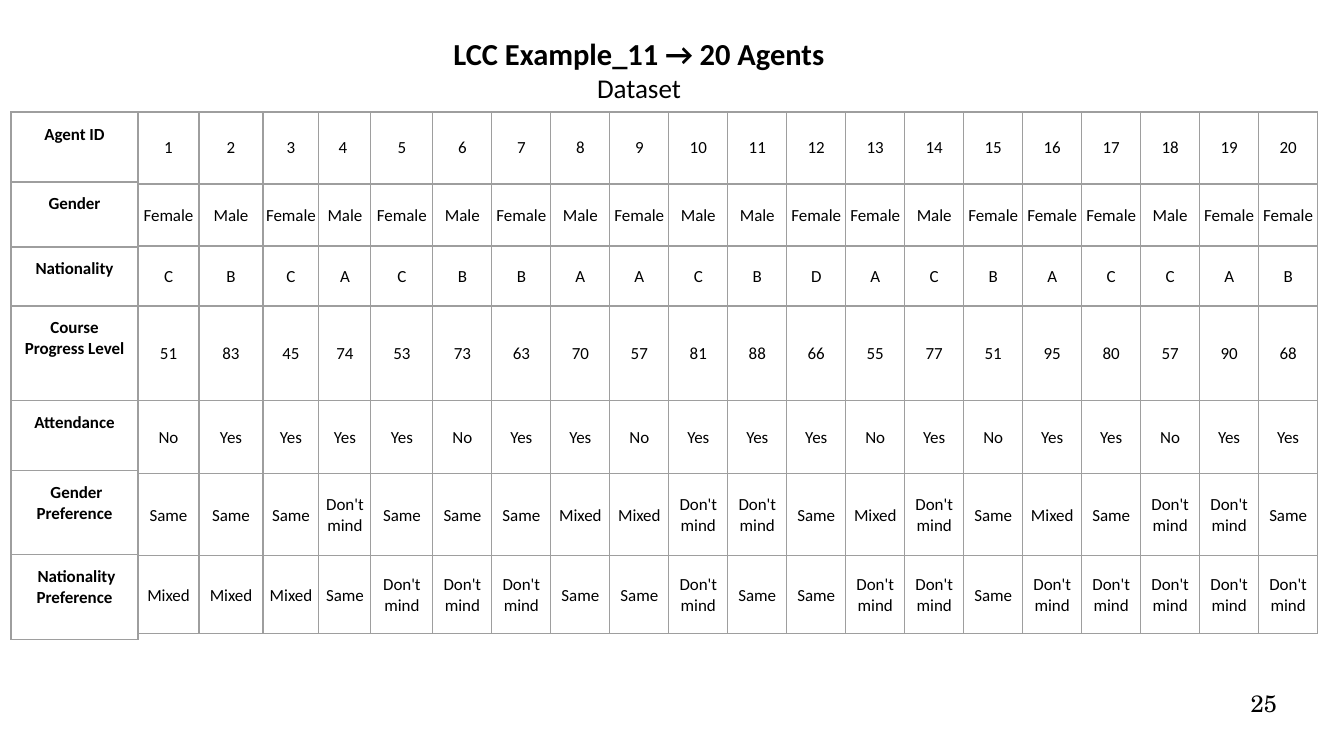
from lxml.etree import SubElement
from pptx import Presentation
from pptx.dml.color import RGBColor
from pptx.enum.text import MSO_ANCHOR, MSO_AUTO_SIZE, PP_ALIGN
from pptx.oxml.ns import qn
from pptx.util import Emu, Pt

PIXEL = 914400 / 122
BLACK = "000000"
GRID = "9E9E9E"
BODY_FONT = "Calibri"
NUMBER_FONT = "TeX Gyre Schola"

LABELS = ["Agent ID", "Gender", "Nationality", "Course Progress Level",
          "Attendance", "\u00a0Gender Preference", "\u00a0Nationality Preference"]
LABEL_HEIGHTS = [70, 65, 59, 95, 70, 84, 85]
AGENT_WIDTHS = [61, 64, 56, 52, 62] + [59] * 15
AGENT_HEIGHTS = [72, 62, 60, 95, 73, 82, 78]
WORDS = {"F": "Female", "M": "Male", "Y": "Yes", "N": "No"}
PREFERENCES = {"S": "Same", "M": "Mixed", "D": "Don't mind"}

AGENT_IDS = [str(number) for number in range(1, 21)]
AGENT_IDS[3] += "\u00a0"
AGENT_ROWS = [
    AGENT_IDS,
    [WORDS[code] for code in "FMFMFMFMFMMFFMFFFMFF"],
    list("CBCACBBAACBDACBACCAB"),
    "51 83 45 74 53 73 63 70 57 81 88 66 55 77 51 95 80 57 90 68".split(),
    [WORDS[code] for code in "NYYYYNYYNYYYNYNYYNYY"],
    [PREFERENCES[code] for code in "SSSDSSSMMDDSMDSMSDDS"],
    [PREFERENCES[code] for code in "MMMSDDDSSDSSDDSDDDDD"],
]


def px(length):
    """Turn picture pixels into EMU."""
    return Emu(round(length * PIXEL))


def color(value):
    """Turn a hex string into a colour."""
    return RGBColor.from_string(value)


def add_run(paragraph, text, size, font=BODY_FONT, bold=False, align=PP_ALIGN.CENTER):
    """Add one formatted run to an aligned paragraph."""
    paragraph.alignment = align
    run = paragraph.add_run()
    run.text = text
    run.font.size = Pt(size)
    run.font.name = font
    run.font.bold = bold
    run.font.color.rgb = color(BLACK)


def place(shape, box):
    """Move a shape into a pixel box."""
    shape.left, shape.top, shape.width, shape.height = map(px, box)


def set_margins(target, left, top, right, bottom):
    """Set the inner margins of a cell or text frame in pixels."""
    target.margin_left, target.margin_top = px(left), px(top)
    target.margin_right, target.margin_bottom = px(right), px(bottom)


def outline_cell(cell):
    """Give a cell four thin borders and no fill."""
    properties = cell._tc.get_or_add_tcPr()
    for side in ("a:lnL", "a:lnR", "a:lnT", "a:lnB"):
        line = SubElement(properties, qn(side), w=str(Pt(0.75)))
        fill = SubElement(line, qn("a:solidFill"))
        SubElement(fill, qn("a:srgbClr"), val=GRID)
    cell.fill.background()


def add_grid(slide, left, top, widths, heights, rows, margins, anchor, bold=False):
    """Add a bordered table with one margin set for each row."""
    frame = slide.shapes.add_table(len(rows), len(widths), px(left), px(top),
                                   px(sum(widths)), px(sum(heights)))
    table = frame.table
    table.first_row = table.horz_banding = False
    for column, width in zip(table.columns, widths):
        column.width = px(width)
    for index, (values, height) in enumerate(zip(rows, heights)):
        table.rows[index].height = px(height)
        for cell, text in zip(table.rows[index].cells, values):
            set_margins(cell, *margins[index])
            cell.vertical_anchor = anchor
            outline_cell(cell)
            add_run(cell.text_frame.paragraphs[0], text, 10, bold=bold)


def add_title(slide, box):
    """Fill the title placeholder with heading and subheading."""
    title = slide.shapes.title
    place(title, box)
    frame = title.text_frame
    frame.auto_size = MSO_AUTO_SIZE.NONE
    frame.vertical_anchor = MSO_ANCHOR.TOP
    set_margins(frame, 12, 6, 12, 6)
    add_run(frame.paragraphs[0], "LCC Example_11 \u2192 20 Agents", 18, bold=True)
    add_run(frame.add_paragraph(), "Dataset", 16)


def add_page_number(slide, box):
    """Add the page number, aligned right."""
    frame = slide.shapes.add_textbox(*map(px, box)).text_frame
    frame.word_wrap = True
    set_margins(frame, 0, 0, 0, 0)
    add_run(frame.paragraphs[0], "25", 14, NUMBER_FONT, align=PP_ALIGN.RIGHT)


def add_dataset(slide, left, top, label_width):
    """Place the agent table beside its column of labels."""
    wide, narrow = (12, 12, 12, 12), (1, 1, 1, 0)
    add_grid(slide, left + label_width, top, AGENT_WIDTHS, AGENT_HEIGHTS, AGENT_ROWS,
             [wide] + [narrow] * 6, MSO_ANCHOR.MIDDLE)
    add_grid(slide, left, top, [label_width], LABEL_HEIGHTS,
             [[label] for label in LABELS], [wide] * 7, MSO_ANCHOR.TOP, bold=True)


def build():
    """Build and save the dataset slide."""
    presentation = Presentation()
    presentation.slide_width, presentation.slide_height = px(1344), px(756)
    slide = presentation.slides.add_slide(presentation.slide_layouts[5])
    add_page_number(slide, (964, 689, 313, 52))
    add_title(slide, (34, 29, 1210, 83))
    add_dataset(slide, 11, 112, 127)
    presentation.save("out.pptx")


build()
